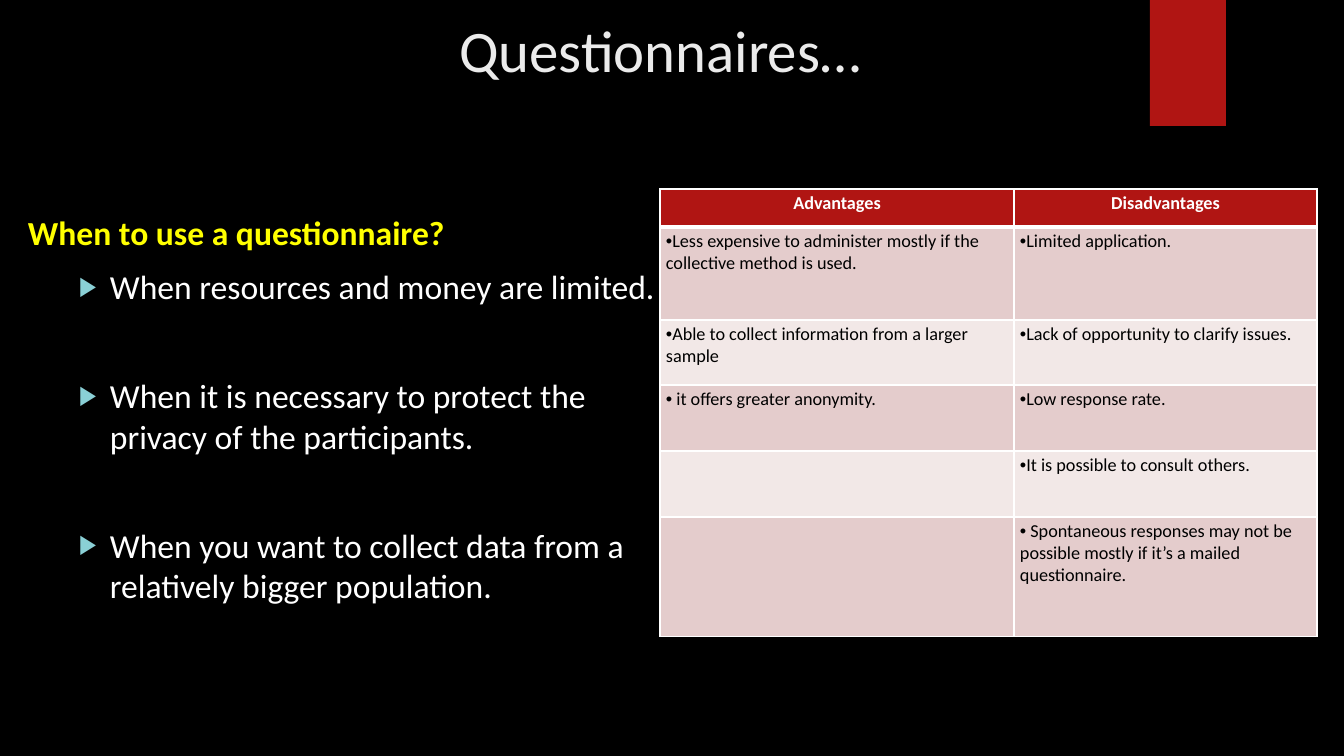
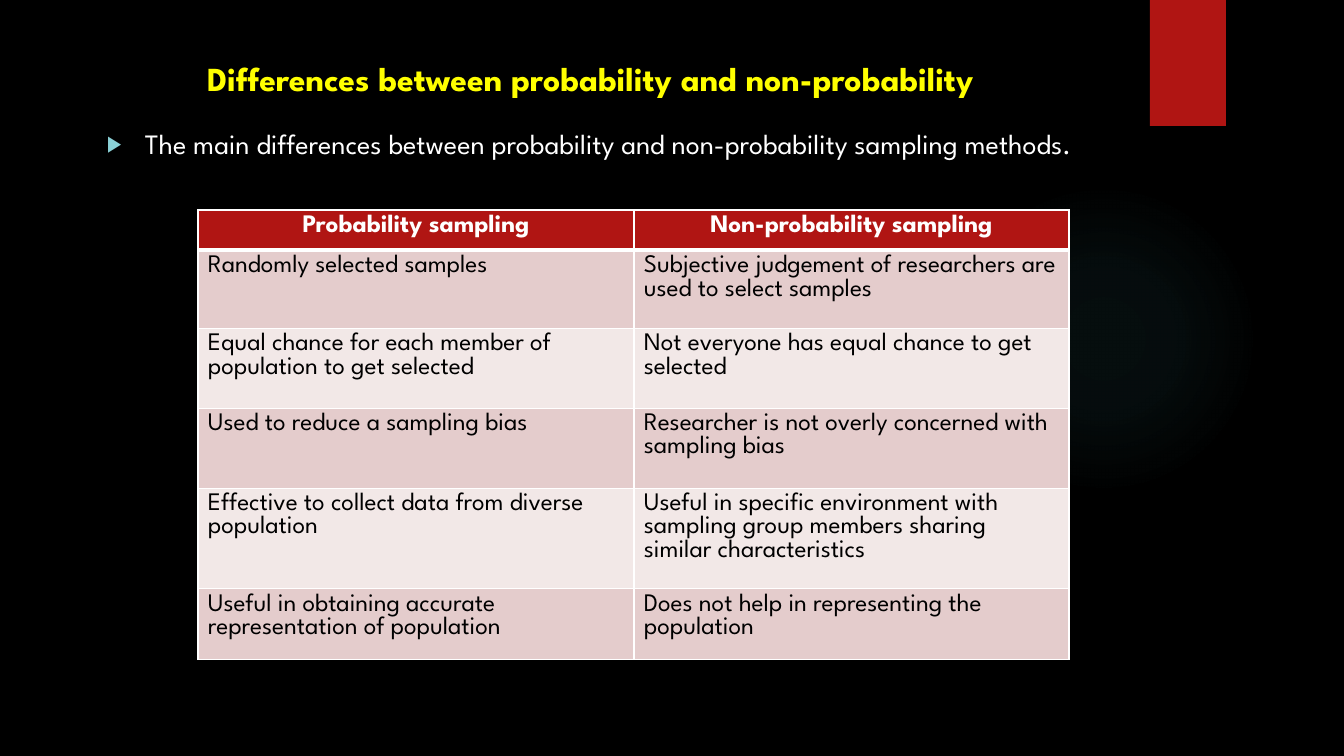
"""Build two slides on questionnaires and on sampling methods."""
import pptx
import pptx.util
import pptx.dml.color
import pptx.enum.shapes
import pptx.enum.text
import pptx.oxml
import pptx.oxml.ns

BLACK, WHITE, RED, YELLOW = "000000", "FFFFFF", "B01513", "FFFF00"
TITLE_GREY, BULLET, GLOW = "EBEBEB", "8AD0D6", "50B9C1"
BANDS = ["E4CCCC", "F2E8E7"]
GLOW_STOPS = [(0, 7), (36, 6), (69, 0)]
CENTER = pptx.enum.text.PP_ALIGN.CENTER
TOP = pptx.enum.text.MSO_ANCHOR.TOP
MIDDLE = pptx.enum.text.MSO_ANCHOR.MIDDLE
NS = pptx.oxml.ns.nsdecls("a")

QUESTIONNAIRES = {
    "font": "Calibri",
    "title": {"text": "Questionnaires…", "box": (150, 9, 1020, 135),
              "size": 42, "color": TITLE_GREY, "bold": False, "anchor": TOP},
    "body": {"box": (18, 207, 657, 415), "size": 24, "indent": (82, -31),
             "heading": "When to use a questionnaire?",
             "bullets": [
                 ("When resources and money are limited.", 10),
                 ("When it is necessary to protect the privacy of the participants.", 49),
                 ("When you want to collect data from a relatively bigger population.", 49),
             ]},
    "table": {"at": (660, 189), "cols": [354, 303],
              "rows": [38, 93, 65, 66, 66, 120],
              "size": 13, "insets": (6, 3), "bulleted": True,
              "cells": [
                  ("Advantages", "Disadvantages"),
                  ("Less expensive to administer mostly if the collective method is used.",
                   "Limited application."),
                  ("Able to collect information from a larger sample",
                   "Lack of opportunity to clarify issues."),
                  (" it offers greater anonymity.", "Low response rate."),
                  ("", "It is possible to consult others."),
                  ("", " Spontaneous responses may not be possible mostly if it’s "
                       "a mailed questionnaire."),
              ]},
}

SAMPLING = {
    "font": "League Spartan",
    "title": {"text": "Differences between probability and non-probability",
              "box": (72, 53, 1037, 50),
              "size": 24, "color": YELLOW, "bold": True, "anchor": MIDDLE},
    "body": {"box": (97, 122, 986, 60), "size": 20, "indent": (38, -38),
             "heading": None,
             "bullets": [
                 ("The main differences between probability and non-probability "
                  "sampling methods.", 0),
             ]},
    "table": {"at": (198, 210), "cols": [436, 435],
              "rows": [36, 78, 80, 80, 80, 57],
              "size": 18, "insets": (10, 5), "bulleted": False,
              "cells": [
                  ("Probability sampling", "Non-probability sampling"),
                  ("Randomly selected samples",
                   "Subjective judgement of researchers are used to select samples"),
                  ("Equal chance for each member of population to get selected",
                   "Not everyone has equal chance to get selected"),
                  ("Used to reduce a sampling bias",
                   "Researcher is not overly concerned with sampling bias"),
                  ("Effective to collect data from diverse population",
                   "Useful in specific environment with sampling group members "
                   "sharing similar characteristics"),
                  ("Useful in obtaining accurate representation of population",
                   "Does not help in representing the population"),
              ]},
}


def px(n):
    return pptx.util.Emu(round(n * 914400 / 100.8))


def rgb(color):
    return pptx.dml.color.RGBColor.from_string(color)


def add_xml(parent, xml):
    parent.append(pptx.oxml.parse_xml(xml))


def style(p, font, size, color, bold=False):
    for r in p.runs:
        r.font.name = font
        r.font.size = pptx.util.Pt(size)
        r.font.bold = bold
        r.font.color.rgb = rgb(color)


def add_bullet(p, char, indent=(0, 0), color=None, percent=100):
    pPr = p._p.get_or_add_pPr()
    pPr.set("marL", str(px(indent[0])))
    pPr.set("indent", str(px(indent[1])))
    if color:
        add_xml(pPr, f'<a:buClr {NS}><a:srgbClr val="{color}"/></a:buClr>')
    add_xml(pPr, f'<a:buSzPct {NS} val="{percent * 1000}"/>')
    add_xml(pPr, f'<a:buFont {NS} typeface="Arial"/>')
    add_xml(pPr, f'<a:buChar {NS} char="{char}"/>')


def decorate_layout(layout, s):
    fill = layout.background.fill
    fill.solid()
    fill.fore_color.rgb = rgb(BLACK)
    for ph in list(layout.placeholders)[1:]:
        ph.element.getparent().remove(ph.element)
    shapes = pptx.enum.shapes.MSO_SHAPE
    glow = s.shapes.add_shape(shapes.OVAL, *map(px, (949, 184, 310, 310)))
    ribbon = s.shapes.add_shape(shapes.RECTANGLE, *map(px, (1150, 0, 76, 126)))
    ribbon.fill.solid()
    ribbon.fill.fore_color.rgb = rgb(RED)
    stops = "".join(
        f'<a:gs pos="{pos * 1000}"><a:srgbClr val="{GLOW}">'
        f'<a:alpha val="{alpha * 1000}"/></a:srgbClr></a:gs>'
        for pos, alpha in GLOW_STOPS)
    geometry = glow.element.spPr.find(pptx.oxml.ns.qn("a:prstGeom"))
    geometry.addnext(pptx.oxml.parse_xml(
        f'<a:gradFill {NS}><a:gsLst>{stops}</a:gsLst><a:path path="circle">'
        '<a:fillToRect l="50000" t="50000" r="50000" b="50000"/>'
        '</a:path></a:gradFill>'))
    for i, shape in enumerate((glow, ribbon)):
        shape.line.fill.background()
        shape.shadow.inherit = False
        layout.shapes.element.insert(2 + i, shape.element)


def add_title(s, title, font):
    sp = s.shapes.title
    sp.left, sp.top, sp.width, sp.height = map(px, title["box"])
    tf = sp.text_frame
    tf.text = title["text"]
    tf.word_wrap = True
    tf.auto_size = pptx.enum.text.MSO_AUTO_SIZE.NONE
    tf.vertical_anchor = title["anchor"]
    p = tf.paragraphs[0]
    p.alignment = CENTER
    style(p, font, title["size"], title["color"], title["bold"])


def add_body(s, body, font):
    tf = s.shapes.add_textbox(*map(px, body["box"])).text_frame
    tf.word_wrap = True
    p = tf.paragraphs[0]
    if body["heading"]:
        p.text = body["heading"]
        style(p, font, body["size"], YELLOW, True)
    for text, before in body["bullets"]:
        if p.text:
            p = tf.add_paragraph()
        p.text = text
        add_bullet(p, "▶", body["indent"], BULLET, 80)
        if before:
            p.space_before = pptx.util.Pt(before)
        style(p, font, body["size"], WHITE)


def add_borders(cell, row):
    tcPr = cell._tc.get_or_add_tcPr()
    widths = {"L": 1, "R": 1, "T": 3 if row == 1 else 1, "B": 3 if row == 0 else 1}
    for side, width in widths.items():
        add_xml(tcPr, f'<a:ln{side} {NS} w="{width * 12700}"><a:solidFill>'
                      f'<a:srgbClr val="{WHITE}"/></a:solidFill></a:ln{side}>')


def add_table(s, spec, font):
    cols, rows = spec["cols"], spec["rows"]
    table = s.shapes.add_table(len(rows), len(cols), *map(px, spec["at"]),
                               px(sum(cols)), px(sum(rows))).table
    for column, width in zip(table.columns, cols):
        column.width = px(width)
    for i, (height, texts) in enumerate(zip(rows, spec["cells"])):
        table.rows[i].height = px(height)
        for j, text in enumerate(texts):
            cell = table.cell(i, j)
            add_borders(cell, i)
            cell.fill.solid()
            cell.fill.fore_color.rgb = rgb(BANDS[(i - 1) % 2] if i else RED)
            side, end = map(px, spec["insets"])
            cell.margin_left = cell.margin_right = side
            cell.margin_top = cell.margin_bottom = end
            cell.text_frame.text = text
            p = cell.text_frame.paragraphs[0]
            if i == 0:
                p.alignment = CENTER
            elif text and spec["bulleted"]:
                add_bullet(p, "•")
            style(p, font, spec["size"], BLACK if i else WHITE, i == 0)


def main():
    prs = pptx.Presentation()
    prs.slide_width, prs.slide_height = px(1344), px(756)
    layout = prs.slide_layouts[5]
    for i, content in enumerate((QUESTIONNAIRES, SAMPLING)):
        s = prs.slides.add_slide(layout)
        if i == 0:
            decorate_layout(layout, s)
        font = content["font"]
        add_title(s, content["title"], font)
        add_body(s, content["body"], font)
        add_table(s, content["table"], font)
    prs.save("out.pptx")


if __name__ == "__main__":
    main()
